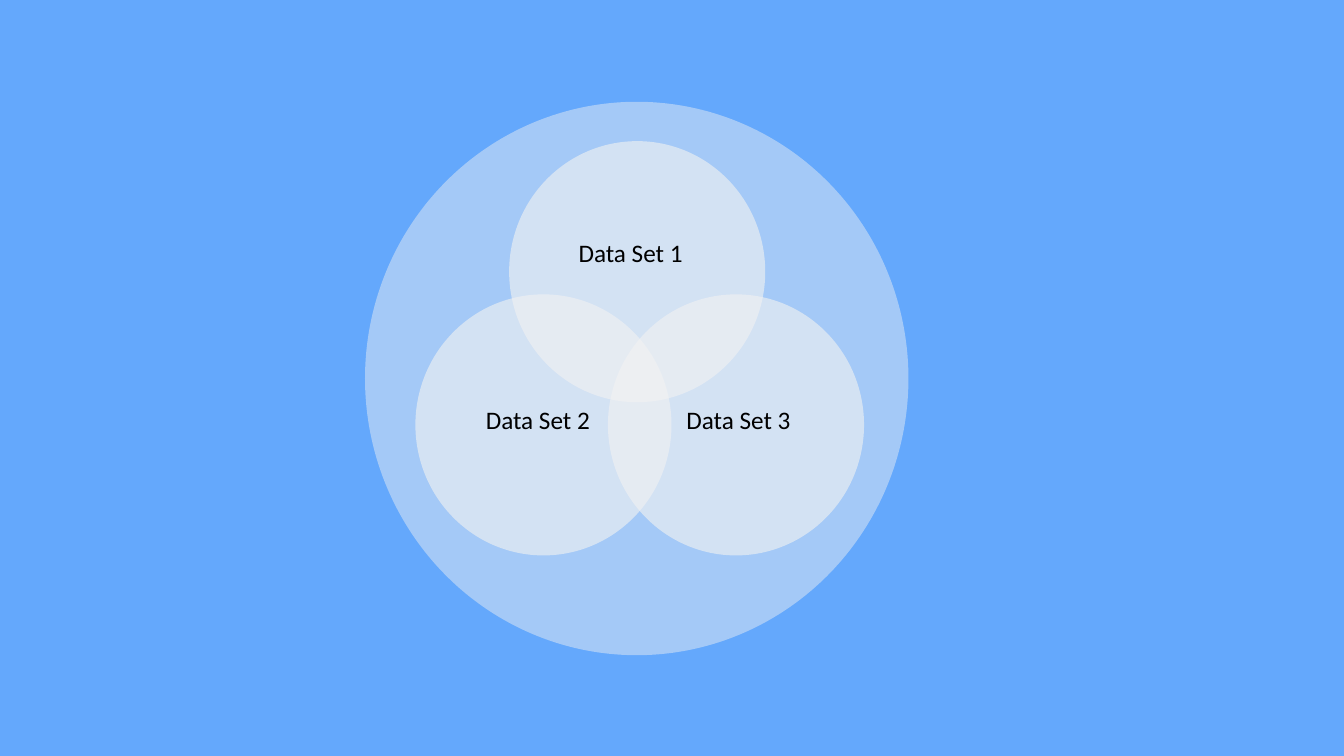
from dataclasses import dataclass

from lxml import etree
from pptx import Presentation
from pptx.dml.color import RGBColor
from pptx.enum.shapes import MSO_SHAPE
from pptx.enum.text import MSO_AUTO_SIZE
from pptx.oxml.ns import qn
from pptx.slide import Slide
from pptx.util import Inches, Pt

SKY = RGBColor(0x64, 0xA8, 0xFC)
MIST = RGBColor(0xF2, 0xF2, 0xF2)
BLACK = RGBColor(0, 0, 0)

SLIDE_W, SLIDE_H = 13.33, 7.5
SET_W, SET_H = 2.54, 2.59
LABEL_W, LABEL_H = 1.36, 0.4
LABEL_FONT = {"name": "Calibri", "size": Pt(18)}


@dataclass(frozen=True)
class DataSet:
    name: str
    left: float
    top: float
    label_left: float
    label_top: float


DATA_SETS = [
    DataSet("Data Set 2", 4.12, 2.92, 4.72, 3.96),
    DataSet("Data Set 1", 5.05, 1.4, 5.64, 2.31),
    DataSet("Data Set 3", 6.03, 2.92, 6.71, 3.96),
]


def add_filled(slide: Slide, kind: MSO_SHAPE, left: float, top: float,
               width: float, height: float, color: RGBColor,
               opacity: int = 100) -> None:
    """Add a borderless shape; opacity is a percentage."""
    sp = slide.shapes.add_shape(kind, Inches(left), Inches(top),
                                Inches(width), Inches(height))
    sp.shadow.inherit = False
    sp.line.fill.background()
    sp.fill.solid()
    sp.fill.fore_color.rgb = color
    if opacity < 100:
        clr = sp.fill._xPr.find(qn("a:solidFill"))[0]
        etree.SubElement(clr, qn("a:alpha"), val=str(opacity * 1000))


def add_label(slide: Slide, data_set: DataSet) -> None:
    box = slide.shapes.add_textbox(
        Inches(data_set.label_left), Inches(data_set.label_top),
        Inches(LABEL_W), Inches(LABEL_H))
    tf = box.text_frame
    tf.word_wrap = True
    tf.auto_size = MSO_AUTO_SIZE.SHAPE_TO_FIT_TEXT
    r = tf.paragraphs[0].add_run()
    r.text = data_set.name
    for attr, value in LABEL_FONT.items():
        setattr(r.font, attr, value)
    r.font.color.rgb = BLACK


def main() -> None:
    prs = Presentation()
    prs.slide_width, prs.slide_height = Inches(SLIDE_W), Inches(SLIDE_H)
    slide = prs.slides.add_slide(prs.slide_layouts[6])

    add_filled(slide, MSO_SHAPE.RECTANGLE, 0, 0, SLIDE_W, SLIDE_H, SKY)
    for data_set in DATA_SETS:
        add_filled(slide, MSO_SHAPE.OVAL, data_set.left, data_set.top,
                   SET_W, SET_H, MIST, opacity=61)
    add_filled(slide, MSO_SHAPE.OVAL, 3.62, 1.01, 5.39, 5.49, MIST, opacity=45)
    for data_set in reversed(DATA_SETS):
        add_label(slide, data_set)

    prs.save("out.pptx")


if __name__ == "__main__":
    main()
